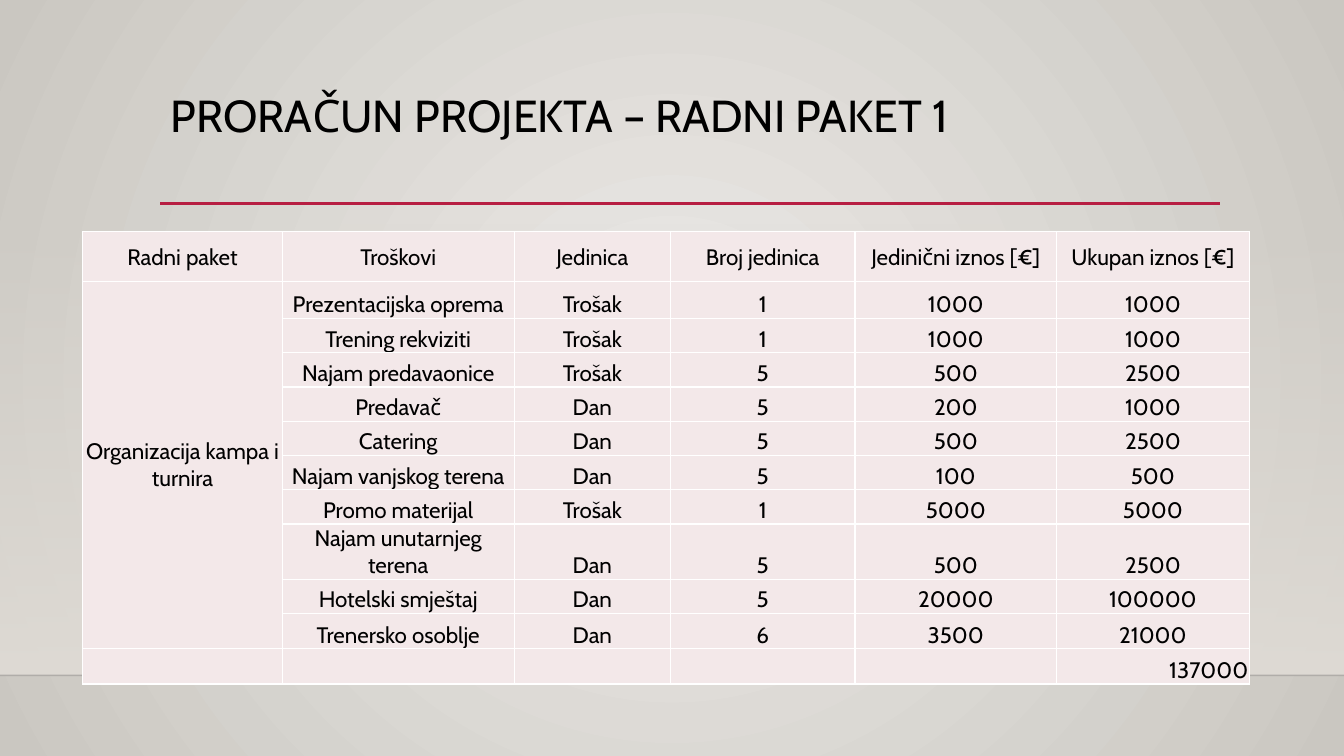
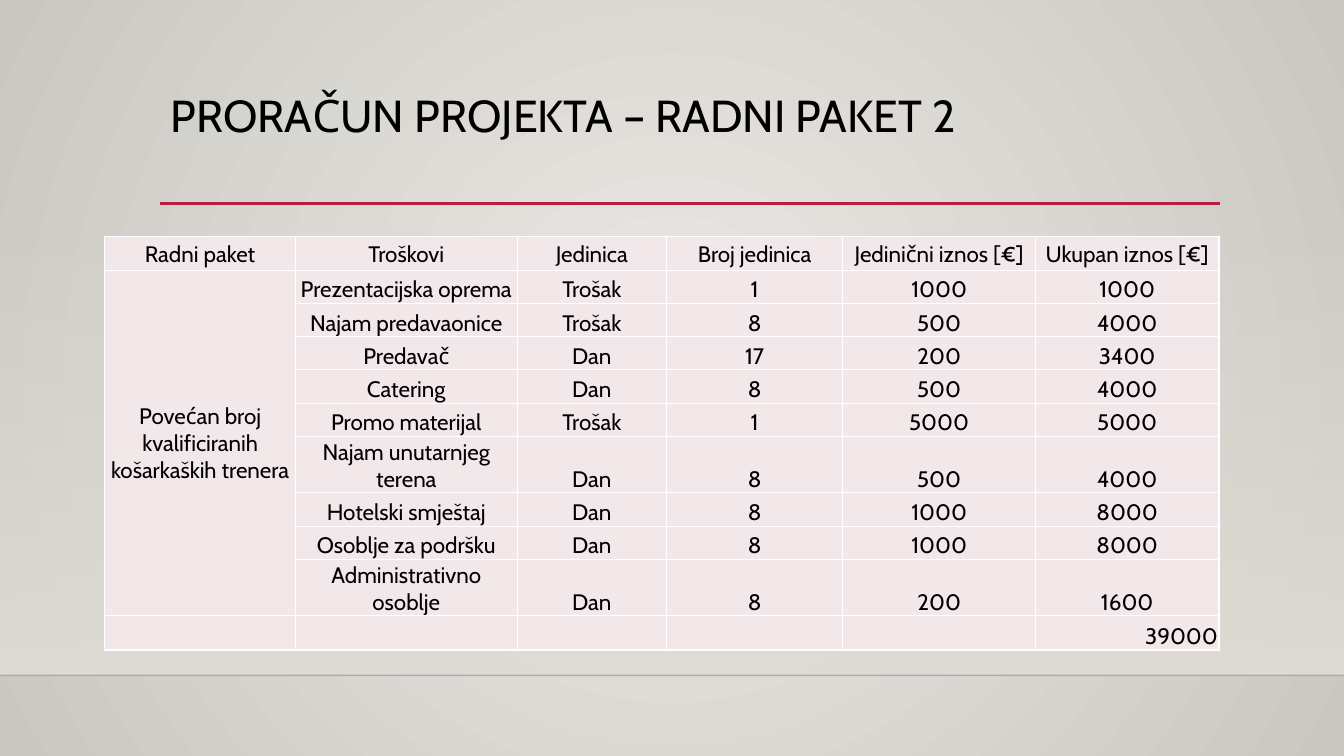
"""Builds two project budget slides, one cost table per work package."""
from lxml import etree
from pptx import Presentation
from pptx import util as u
from pptx.dml import color
from pptx.enum import shapes, text
from pptx.oxml import ns

FONT = "Cabin"
BLACK, WHITE, ACCENT, CELL = "000000", "FFFFFF", "B71E42", "F3E8E9"
BACKDROP = ("ECEAE7", "CAC7C1")
BAND, FLOOR_LINE = "DFDBD5", "000001"
SLIDE_W, SLIDE_H = 13.33, 7.5
BAND_TOP, FLOOR = 2.21, 6.7
TITLE_BOX = (1.59, 0.88, 10.5, 1.15)

HEADER = ["Radni paket", "Troškovi", "Jedinica", "Broj jedinica",
          "Jedinični iznos [€]", "Ukupan iznos [€]"]
PACKAGES = [
    {
        "title": "PRORAČUN PROJEKTA – RADNI PAKET 1",
        "name": "Organizacija kampa i turnira",
        "at": (0.82, 2.3),
        "cols": [1.98, 2.3, 1.55, 1.83, 2, 1.91],
        "rows": [0.49, 0.37] + [0.34] * 8 + [0.35] * 2,
        "costs": [
            ("Prezentacijska oprema", "Trošak", 1, 1000),
            ("Trening rekviziti", "Trošak", 1, 1000),
            ("Najam predavaonice", "Trošak", 5, 500),
            ("Predavač", "Dan", 5, 200),
            ("Catering", "Dan", 5, 500),
            ("Najam vanjskog terena", "Dan", 5, 100),
            ("Promo materijal", "Trošak", 1, 5000),
            ("Najam unutarnjeg terena", "Dan", 5, 500),
            ("Hotelski smještaj", "Dan", 5, 20000),
            ("Trenersko osoblje", "Dan", 6, 3500),
        ],
    },
    {
        "title": "PRORAČUN PROJEKTA – RADNI PAKET 2",
        "name": "Povećan broj kvalificiranih košarkaških trenera",
        "at": (1.04, 2.35),
        "cols": [1.89, 2.2, 1.48, 1.75, 1.91, 1.82],
        "rows": [0.33] * 6 + [0.56, 0.33, 0.33, 0.56, 0.34],
        "costs": [
            ("Prezentacijska oprema", "Trošak", 1, 1000),
            ("Najam predavaonice", "Trošak", 8, 500),
            ("Predavač", "Dan", 17, 200),
            ("Catering", "Dan", 8, 500),
            ("Promo materijal", "Trošak", 1, 5000),
            ("Najam unutarnjeg terena", "Dan", 8, 500),
            ("Hotelski smještaj", "Dan", 8, 1000),
            ("Osoblje za podršku", "Dan", 8, 1000),
            ("Administrativno osoblje", "Dan", 8, 200),
        ],
    },
]


def rgb(value):
    return color.RGBColor.from_string(value)


def add(parent, tag, **attrs):
    return etree.SubElement(parent, ns.qn(tag), attrs)


def set_alpha(element, percent):
    clr = element.find(".//" + ns.qn("a:srgbClr"))
    add(clr, "a:alpha", val=str(percent * 1000))


def set_gradient(fill, colors):
    fill.gradient()
    for stop, value in zip(fill.gradient_stops, colors):
        stop.color.rgb = rgb(value)


def style_runs(p, size):
    for r in p.runs:
        r.font.name, r.font.size = FONT, u.Pt(size)
        r.font.color.rgb = rgb(BLACK)


def add_line(s, x1, x2, y, value, width):
    line = s.shapes.add_connector(shapes.MSO_CONNECTOR.STRAIGHT, u.Inches(x1),
                                  u.Inches(y), u.Inches(x2), u.Inches(y))
    line.line.color.rgb = rgb(value)
    line.line.width = u.Pt(width)
    add(line.element.spPr, "a:effectLst")
    return line


def build_master(master, s):
    set_gradient(master.background.fill, BACKDROP)
    grad = master.element.find(".//" + ns.qn("a:gradFill"))
    grad.remove(grad.find(ns.qn("a:lin")))
    radial = add(grad, "a:path", path="circle")
    add(radial, "a:fillToRect", l="50000", t="50000", r="50000", b="50000")

    band = s.shapes.add_shape(shapes.MSO_SHAPE.RECTANGLE, 0, u.Inches(BAND_TOP),
                              u.Inches(SLIDE_W), u.Inches(FLOOR - BAND_TOP))
    band.shadow.inherit = False
    band.line.fill.background()
    set_gradient(band.fill, (BAND, BAND))
    band.fill.gradient_angle = 270
    set_alpha(band.element.spPr, 0)
    floor = add_line(s, 0, SLIDE_W, FLOOR, FLOOR_LINE, 1)
    set_alpha(floor.element.spPr, 20)
    rule = add_line(s, 1.59, 12.1, 2.02, ACCENT, 2.5)

    for i, sp in enumerate((band, floor, rule)):
        sp.element.xpath(".//p:cNvPr")[0].set("id", str(20 + i))
        master.shapes.element.insert(2 + i, sp.element)


def set_title(s, title):
    tf = s.shapes.title.text_frame
    tf.text = title
    tf.word_wrap = True
    tf.auto_size = text.MSO_AUTO_SIZE.NONE
    tf.vertical_anchor = text.MSO_ANCHOR.TOP
    p = tf.paragraphs[0]
    p.alignment = text.PP_ALIGN.LEFT
    p.line_spacing = 0.9
    style_runs(p, 32)


def style_cell(cell, value, anchor, align):
    cell.margin_left = cell.margin_right = cell.margin_top = u.Inches(0.01)
    cell.margin_bottom = 0
    cell.vertical_anchor = anchor
    cell.text_frame.text = str(value)
    p = cell.text_frame.paragraphs[0]
    p.alignment = align
    style_runs(p, 16)
    for side in ("a:lnL", "a:lnR", "a:lnT", "a:lnB"):
        border = add(cell._tc.get_or_add_tcPr(), side, w=str(u.Pt(1)))
        add(add(border, "a:solidFill"), "a:srgbClr", val=WHITE)
    cell.fill.solid()
    cell.fill.fore_color.rgb = rgb(CELL)


def add_budget(s, package):
    costs = package["costs"]
    total = sum(units * price for _, _, units, price in costs)
    grid = [HEADER]
    grid += [["", *cost, cost[2] * cost[3]] for cost in costs]
    grid += [[""] * 5 + [total]]
    grid[1][0] = package["name"]

    cols, rows = package["cols"], package["rows"]
    x, y = package["at"]
    table = s.shapes.add_table(len(rows), len(cols), u.Inches(x), u.Inches(y),
                               u.Inches(sum(cols)), u.Inches(sum(rows))).table
    table.first_row = table.horz_banding = False
    for column, width in zip(table.columns, cols):
        column.width = u.Inches(width)
    for row, height in zip(table.rows, rows):
        row.height = u.Inches(height)
    for i, values in enumerate(grid):
        last = i == len(grid) - 1
        align = text.PP_ALIGN.RIGHT if last else text.PP_ALIGN.CENTER
        for j, value in enumerate(values):
            middle = i == 0 or (j == 0 and not last)
            anchor = text.MSO_ANCHOR.MIDDLE if middle else text.MSO_ANCHOR.BOTTOM
            style_cell(table.cell(i, j), value, anchor, align)
    table.cell(1, 0).merge(table.cell(len(costs), 0))


def main():
    prs = Presentation()
    prs.slide_width, prs.slide_height = u.Inches(SLIDE_W), u.Inches(SLIDE_H)
    layout = prs.slide_layouts.get_by_name("Title Only")
    holder = layout.placeholders[0]
    holder.left, holder.top, holder.width, holder.height = map(u.Inches, TITLE_BOX)
    for i, package in enumerate(PACKAGES):
        s = prs.slides.add_slide(layout)
        if i == 0:
            build_master(prs.slide_master, s)
        set_title(s, package["title"])
        add_budget(s, package)
    prs.save("out.pptx")


if __name__ == "__main__":
    main()
